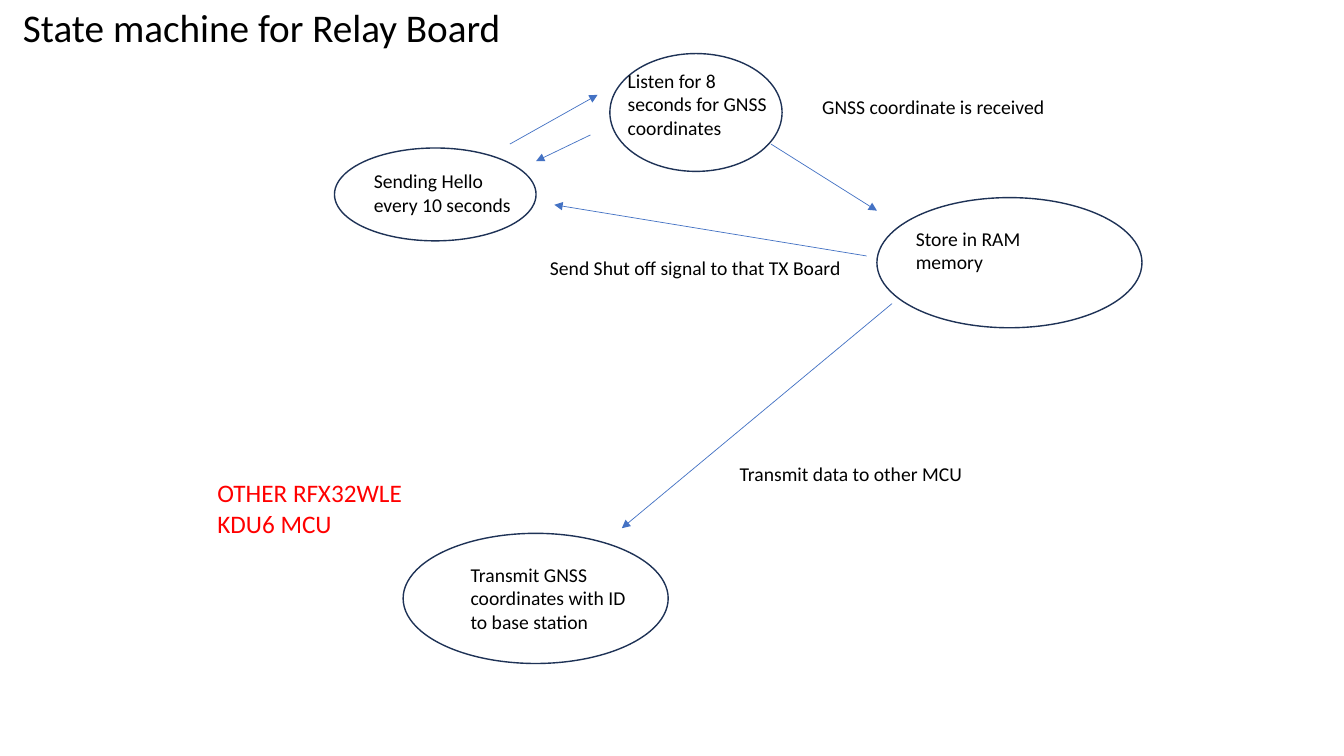
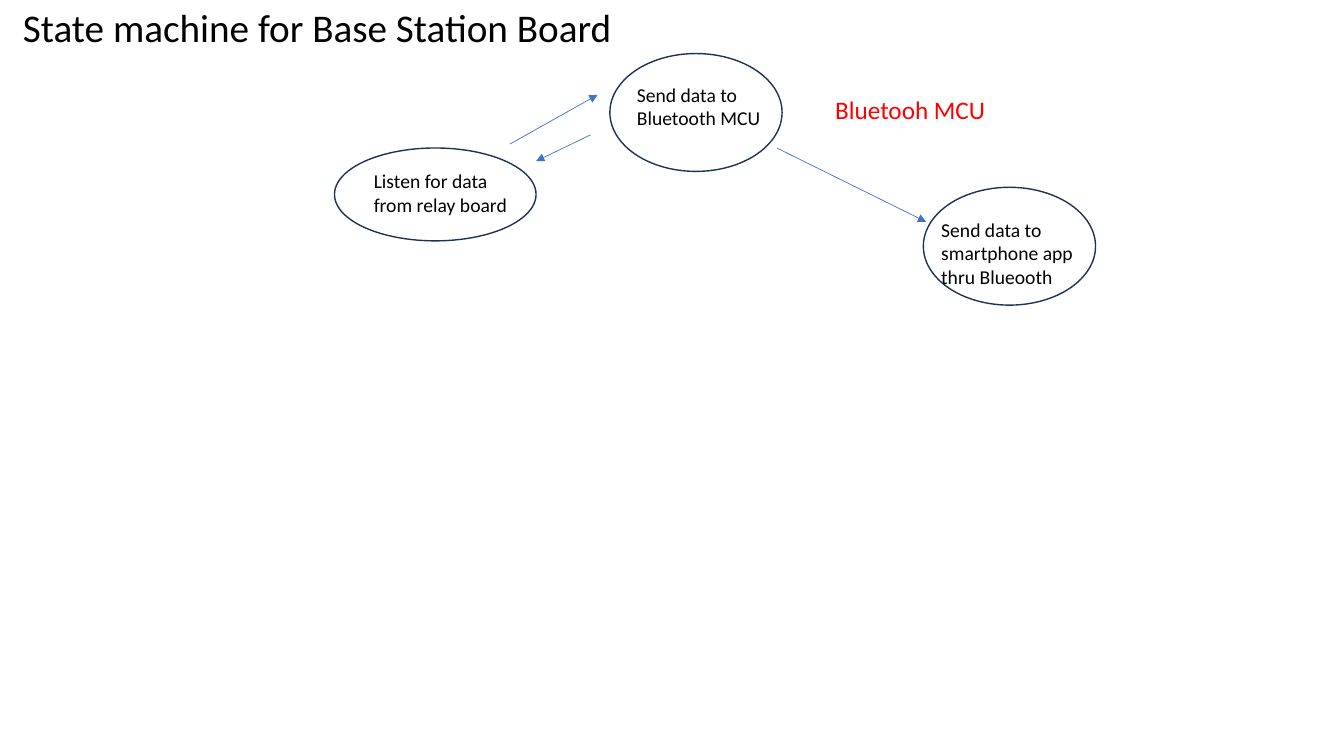
from pptx import Presentation
from pptx.dml.color import RGBColor
from pptx.enum.shapes import MSO_CONNECTOR, MSO_SHAPE
from pptx.oxml.ns import qn
from pptx.util import Cm, Pt
from lxml.etree import SubElement

# Shared style
HUES = {"ink": "000000", "note": "FF0000", "ring": "1E3256", "arrow": "4472C4"}
FONT = "Calibri"


def add_text(slide, text, left, top, width, height, size=14, hue="ink"):
    box = slide.shapes.add_textbox(Cm(left), Cm(top), Cm(width), Cm(height))
    box.text_frame.word_wrap = True
    line = box.text_frame.paragraphs[0]
    line.text = text
    line.font.name = FONT
    line.font.size = Pt(size)
    line.font.color.rgb = RGBColor.from_string(HUES[hue])


def add_arrow(slide, *ends):
    arrow = slide.shapes.add_connector(MSO_CONNECTOR.STRAIGHT, *map(Cm, ends))
    arrow.line.color.rgb = RGBColor.from_string(HUES["arrow"])
    arrow.line.width = Pt(0.5)
    SubElement(arrow.line._get_or_add_ln(), qn("a:tailEnd"), type="triangle")
    SubElement(arrow._element.spPr, qn("a:effectLst"))


# Ovals and arrows found on both slides: left, top, width, height / start, end
RINGS = [(8.43, 3.73, 5.08, 2.34), (15.37, 1.35, 4.34, 2.97)]
LOOP = [(12.85, 3.63, 15.06, 2.39), (14.88, 3.4, 13.51, 4.06)]
START = (9.17, 4.14, 4.22, 1.45)

# Content: states, labels and notes are text, left, top, width, height
BOARDS = [
    {
        "title": "State machine for Relay Board",
        "rings": [(22.1, 4.98, 6.68, 3.28), (10.16, 13.44, 6.68, 3.28)],
        "states": [
            ("Sending Hello every 10 seconds", *START),
            ("Listen for 8 seconds for GNSS coordinates", 15.57, 1.6, 4.14, 2.06),
            ("Store in RAM memory", 22.83, 5.59, 4.14, 1.45),
            ("Transmit GNSS coordinates with ID to base station",
             11.61, 14.05, 4.88, 2.06),
        ],
        "arrows": [
            (19.43, 3.63, 22.1, 5.31),
            (22.48, 7.65, 15.67, 13.31),
            (21.84, 6.45, 13.97, 5.16),
        ],
        "labels": [
            ("GNSS coordinate is received", 20.47, 2.26, 8.03, 0.86),
            ("Transmit data to other MCU", 18.39, 11.51, 8.03, 0.86),
            ("Send Shut off signal to that TX Board", 13.61, 6.32, 8.03, 0.86),
        ],
        "note": ("OTHER RFX32WLE KDU6 MCU", 5.23, 11.91, 5.97, 1.8),
    },
    {
        "title": "State machine for Base Station Board",
        "rings": [(23.27, 4.72, 4.34, 2.97)],
        "states": [
            ("Listen for data from relay board", *START),
            ("Send data to Bluetooth MCU", 15.8, 1.96, 4.14, 1.45),
            ("Send data to smartphone app thru Blueooth",
             23.47, 5.36, 4.14, 2.06),
        ],
        "arrows": [(19.58, 3.73, 23.34, 5.59)],
        "labels": [],
        "note": ("Bluetooh MCU", 20.8, 2.26, 5.97, 1.02),
    },
]

deck = Presentation()
deck.slide_width, deck.slide_height = Cm(33.87), Cm(19.05)

for board in BOARDS:
    slide = deck.slides.add_slide(deck.slide_layouts[6])
    add_text(slide, board["title"], 0.33, -0.03, 15.7, 1.45, size=28)

    # State ovals
    for spot in RINGS + board["rings"]:
        ring = slide.shapes.add_shape(MSO_SHAPE.OVAL, *map(Cm, spot))
        ring.shadow.inherit = False
        ring.fill.background()
        ring.line.color.rgb = RGBColor.from_string(HUES["ring"])
        ring.line.width = Pt(1)

    # Transitions
    for ends in LOOP + board["arrows"]:
        add_arrow(slide, *ends)

    # State names, transition labels and the red note
    for item in board["states"] + board["labels"]:
        add_text(slide, *item)
    add_text(slide, *board["note"], size=18, hue="note")

deck.save("out.pptx")
